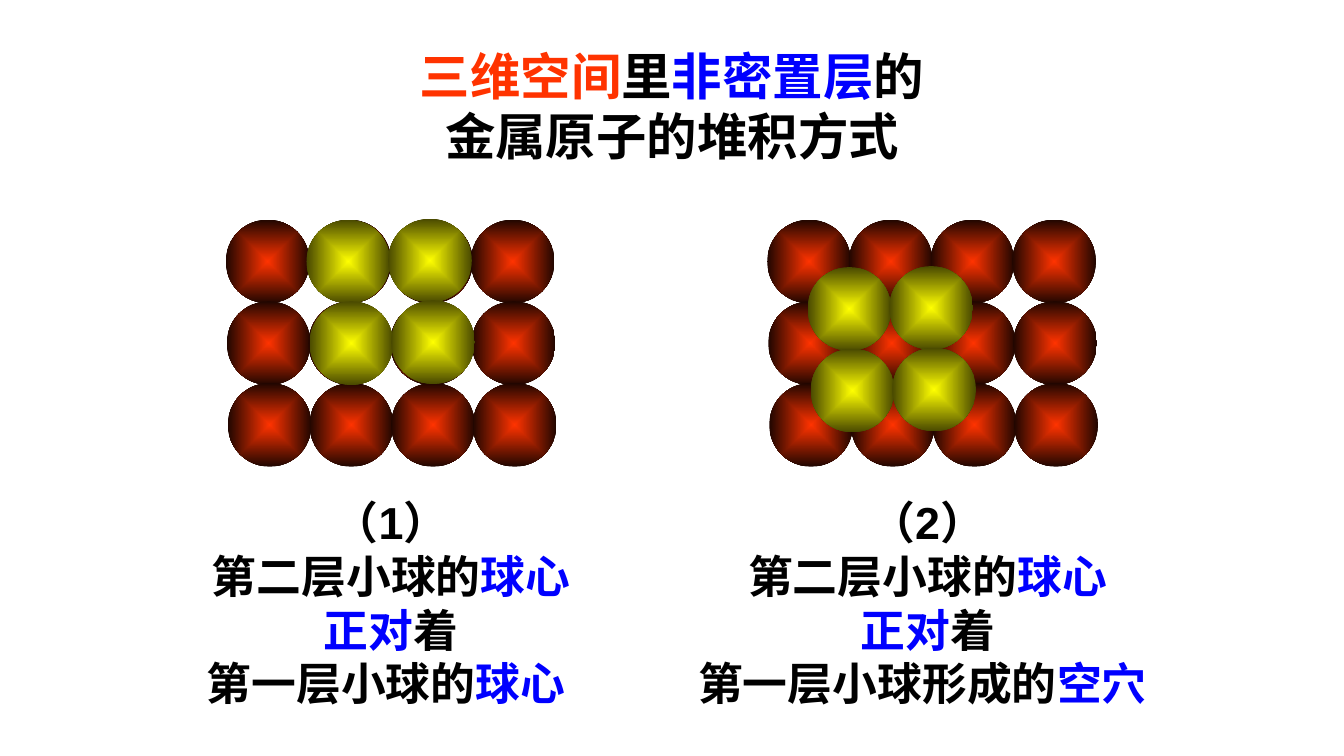
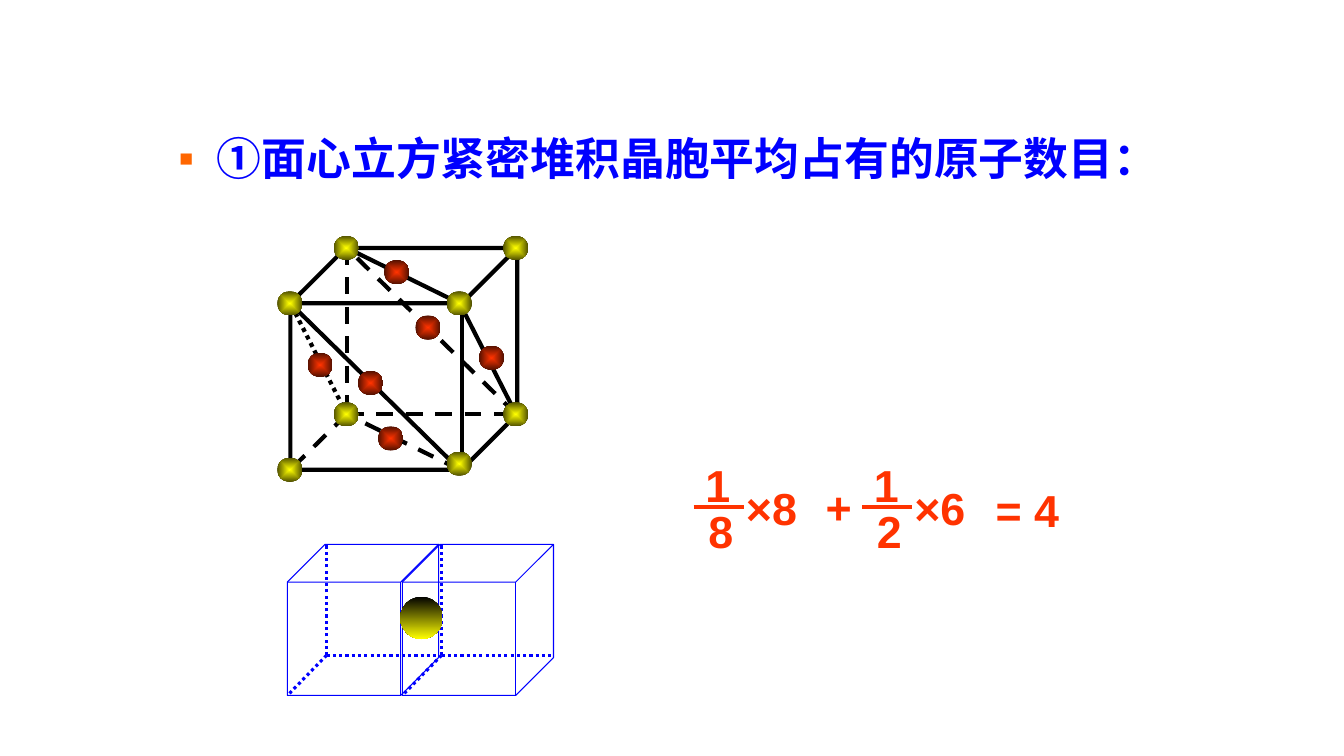
import itertools
from typing import NamedTuple

import lxml.etree
import pptx
import pptx.dml.color
import pptx.enum.dml
import pptx.enum.shapes
import pptx.enum.text
import pptx.oxml
import pptx.oxml.ns
import pptx.util

Inches = pptx.util.Inches
Pt = pptx.util.Pt
RGBColor = pptx.dml.color.RGBColor
Align = pptx.enum.text.PP_ALIGN
Anchor = pptx.enum.text.MSO_ANCHOR
Dash = pptx.enum.dml.MSO_LINE
Kind = pptx.enum.shapes.MSO_SHAPE
qn = pptx.oxml.ns.qn

BLACK = RGBColor(0x00, 0x00, 0x00)
BLUE = RGBColor(0x00, 0x00, 0xFF)
RED = RGBColor(0xFF, 0x33, 0x00)
YELLOW = RGBColor(0xFF, 0xFF, 0x00)
ORANGE = RGBColor(0xFF, 0x66, 0x00)
DARK_RED = RGBColor(0x20, 0x06, 0x00)
DARK_GOLD = RGBColor(0x49, 0x49, 0x00)
DEEP_RED = RGBColor(0x51, 0x10, 0x00)
DEEP_GOLD = RGBColor(0x51, 0x51, 0x00)


class Area(NamedTuple):
    x: float
    y: float
    w: float
    h: float


class Run(NamedTuple):
    text: str
    color: RGBColor = BLACK


class Glow(NamedTuple):
    inner: RGBColor
    outer: RGBColor


class Grid(NamedTuple):
    x: float
    y: float
    rows: int
    cols: int
    lean: float
    rise: float
    glow: Glow


class Edge(NamedTuple):
    start: str
    end: str
    dash: Dash = Dash.SOLID


RED_BALL = Glow(RED, DARK_RED)
GOLD_BALL = Glow(YELLOW, DARK_GOLD)
RED_ATOM = Glow(RED, DEEP_RED)
GOLD_ATOM = Glow(YELLOW, DEEP_GOLD)
BALL = 0.83
PITCH = 0.81

GRIDS = [
    Grid(2.24, 2.18, 3, 4, 0.01, 0, RED_BALL),
    Grid(7.61, 2.18, 3, 4, 0.01, 0, RED_BALL),
    Grid(3.04, 2.18, 2, 2, 0.03, 0.01, GOLD_BALL),
    Grid(8.01, 2.65, 2, 2, 0.03, 0.01, GOLD_BALL),
]

# Cell corners: front or back, top or bottom, left or right
POINTS = {
    "FTL": (2.88, 3.01), "FTR": (4.56, 3.01),
    "FBL": (2.88, 4.66), "FBR": (4.56, 4.66),
    "BTL": (3.44, 2.46), "BTR": (5.12, 2.46),
    "BBL": (3.44, 4.11), "BBR": (5.12, 4.11),
}
EDGES = [
    Edge("BBR", "BTL", Dash.DASH),
    Edge("BTL", "FTR"),
    Edge("FTR", "BBR"),
    Edge("BTL", "BBL", Dash.DASH),
    Edge("BBL", "FBL", Dash.DASH),
    Edge("BBL", "BBR", Dash.DASH),
    Edge("FTL", "FBR"),
    Edge("FBR", "BBL", Dash.DASH),
    Edge("BBL", "FTL", Dash.ROUND_DOT),
]
FACES = [(3.18, 3.62), (3.88, 4.35), (3.68, 3.8),
         (3.94, 2.7), (4.88, 3.55), (4.25, 3.25)]


def place(shape, area: Area) -> None:
    shape.left, shape.top, shape.width, shape.height = map(Inches, area)


def write(para, runs: list[Run], size: int = 32, font: str = "Arial") -> None:
    """Add runs to a paragraph; a newline in a run becomes a line break."""
    for item in runs:
        for num, part in enumerate(item.text.split("\n")):
            if num:
                para.add_line_break()
            run = para.add_run()
            run.text = part
            run.font.name = font
            run.font.size = Pt(size)
            run.font.bold = True
            run.font.color.rgb = item.color


def label(slide, area: Area, lines: list[list[Run]], align: Align = Align.CENTER,
          anchor: Anchor = Anchor.TOP) -> None:
    frame = slide.shapes.add_textbox(*map(Inches, area)).text_frame
    frame.word_wrap = True
    frame.vertical_anchor = anchor
    for num, runs in enumerate(lines):
        para = frame.add_paragraph() if num else frame.paragraphs[0]
        para.alignment = align
        write(para, runs)


def line(slide, start: tuple, end: tuple, color: RGBColor, width: float,
         dash: Dash = Dash.SOLID) -> None:
    link = slide.shapes.add_connector(
        pptx.enum.shapes.MSO_CONNECTOR.STRAIGHT, *map(Inches, (*start, *end)))
    link.line.color.rgb = color
    link.line.width = Pt(width)
    link.line.dash_style = dash
    lxml.etree.SubElement(link._element.spPr, qn("a:effectLst"))


def blend(fill, first: RGBColor, last: RGBColor) -> None:
    fill.gradient()
    for stop, color in zip(fill.gradient_stops, (first, last)):
        stop.color.rgb = color


def ball(slide, area: Area):
    shape = slide.shapes.add_shape(Kind.OVAL, *map(Inches, area))
    shape.shadow.inherit = False
    shape.line.fill.background()
    return shape


def sphere(slide, area: Area, glow: Glow) -> None:
    """Draw a ball that fades from its centre to its rim."""
    shape = ball(slide, area)
    blend(shape.fill, *glow)
    grad = shape._element.spPr.find(qn("a:gradFill"))
    grad.remove(grad.find(qn("a:lin")))
    route = lxml.etree.SubElement(grad, qn("a:path"), {"path": "shape"})
    lxml.etree.SubElement(route, qn("a:fillToRect"),
                          dict.fromkeys("ltrb", "50000"))


def layer(slide, grid: Grid) -> None:
    for row, col in itertools.product(range(grid.rows), range(grid.cols)):
        x = grid.x + col * PITCH + row * grid.lean
        y = grid.y + row * PITCH - col * grid.rise
        sphere(slide, Area(x, y, BALL, BALL), grid.glow)


def cube(slide, area: Area, color: RGBColor, width: float) -> None:
    shape = slide.shapes.add_shape(Kind.CUBE, *map(Inches, area))
    shape.shadow.inherit = False
    shape.adjustments[0] = 0.25
    shape.fill.background()
    shape.line.color.rgb = color
    shape.line.width = Pt(width)


def cell(slide) -> None:
    cube(slide, Area(2.88, 2.46, 2.25, 2.2), BLACK, 3)
    for edge in EDGES:
        line(slide, POINTS[edge.start], POINTS[edge.end], BLACK, 3, edge.dash)
    tips = {**POINTS, "FBR": (4.56, 4.6)}
    for spots, glow in ((tips.values(), GOLD_ATOM), (FACES, RED_ATOM)):
        for x, y in spots:
            sphere(slide, Area(x - 0.13, y - 0.12, 0.25, 0.24), glow)


def crate(slide, x: float) -> None:
    """Draw a thin cube with its three hidden edges dotted."""
    cube(slide, Area(x, 5.4, 1.5, 1.5), BLUE, 0.75)
    hub = (x + 0.39, 6.5)
    for end in ((x + 0.39, 5.4), (x + 1.49, 6.5), (x, 6.9)):
        line(slide, hub, end, BLUE, 2.25, Dash.ROUND_DOT)


def term(slide, x: float, base: str, times: str) -> None:
    """Write one over base, then the factor."""
    line(slide, (x + 0.05, 5.03), (x + 0.55, 5.03), RED, 3)
    label(slide, Area(x, 4.49, 0.58, 0.64), [[Run("1", RED)]])
    label(slide, Area(x + 0.03, 4.95, 0.58, 0.64), [[Run(base, RED)]])
    label(slide, Area(x + 0.47, 4.72, 1, 0.64), [[Run(times, RED)]], Align.LEFT)


def caption(slide, area: Area, mark: str, lead: str, goal: str) -> None:
    label(slide, area, [
        [Run(mark)],
        [Run("第二层小球的"), Run("球心", BLUE)],
        [Run("正对", BLUE), Run("着")],
        [Run(lead), Run(goal, BLUE)],
    ], anchor=Anchor.MIDDLE)


def stack(deck) -> None:
    slide = deck.slides.add_slide(deck.slide_layouts[5])
    title = slide.shapes.title
    place(title, Area(2.58, 0.42, 8.17, 1.25))
    frame = title.text_frame
    frame.auto_size = pptx.enum.text.MSO_AUTO_SIZE.NONE
    frame.vertical_anchor = Anchor.MIDDLE
    para = frame.paragraphs[0]
    para.alignment = Align.CENTER
    write(para, [Run("三维空间", RED), Run("里"), Run("非密置层", BLUE),
                 Run("的\n金属原子的堆积方式")], 36)
    for grid in GRIDS:
        layer(slide, grid)
    caption(slide, Area(1.83, 4.85, 4.1, 2.25), "（1）", "第一层小球的", "球心 ")
    caption(slide, Area(6.7, 4.85, 5, 2.25), "（2）", "第一层小球形成的", "空穴 ")


def count(deck) -> None:
    slide = deck.slides.add_slide(deck.slide_layouts[1])
    title = slide.shapes.title._element
    title.getparent().remove(title)
    body = slide.placeholders[1]
    place(body, Area(1.67, 1.25, 10, 0.92))
    body.text_frame.auto_size = pptx.enum.text.MSO_AUTO_SIZE.NONE
    para = body.text_frame.paragraphs[0]
    para.space_before = Pt(0)
    props = para._p.get_or_add_pPr()
    props.set("marL", str(Inches(0.38)))
    props.set("indent", str(Inches(-0.38)))
    tint = lxml.etree.SubElement(props, qn("a:buClr"))
    lxml.etree.SubElement(tint, qn("a:srgbClr"), {"val": str(ORANGE)})
    lxml.etree.SubElement(props, qn("a:buChar"), {"char": "▪"})
    write(para, [Run("①面心立方紧密堆积晶胞平均占有的原子数目：", BLUE)],
          font="Calibri")

    term(slide, 6.83, "8", "×8")
    label(slide, Area(8.09, 4.71, 0.5, 0.64), [[Run("+", RED)]], Align.LEFT)
    term(slide, 8.5, "2", "×6")
    label(slide, Area(9.73, 4.74, 0.92, 0.64), [[Run("= 4", RED)]])

    cell(slide)
    for x in (3.99, 2.85):
        crate(slide, x)
    atom = ball(slide, Area(3.97, 5.92, 0.42, 0.42))
    blend(atom.fill, BLACK, YELLOW)
    atom.fill.gradient_angle = 270


def main() -> None:
    deck = pptx.Presentation()
    deck.slide_width = Inches(13.33)
    deck.slide_height = Inches(7.5)
    stack(deck)
    count(deck)
    deck.save("out.pptx")


if __name__ == "__main__":
    main()
